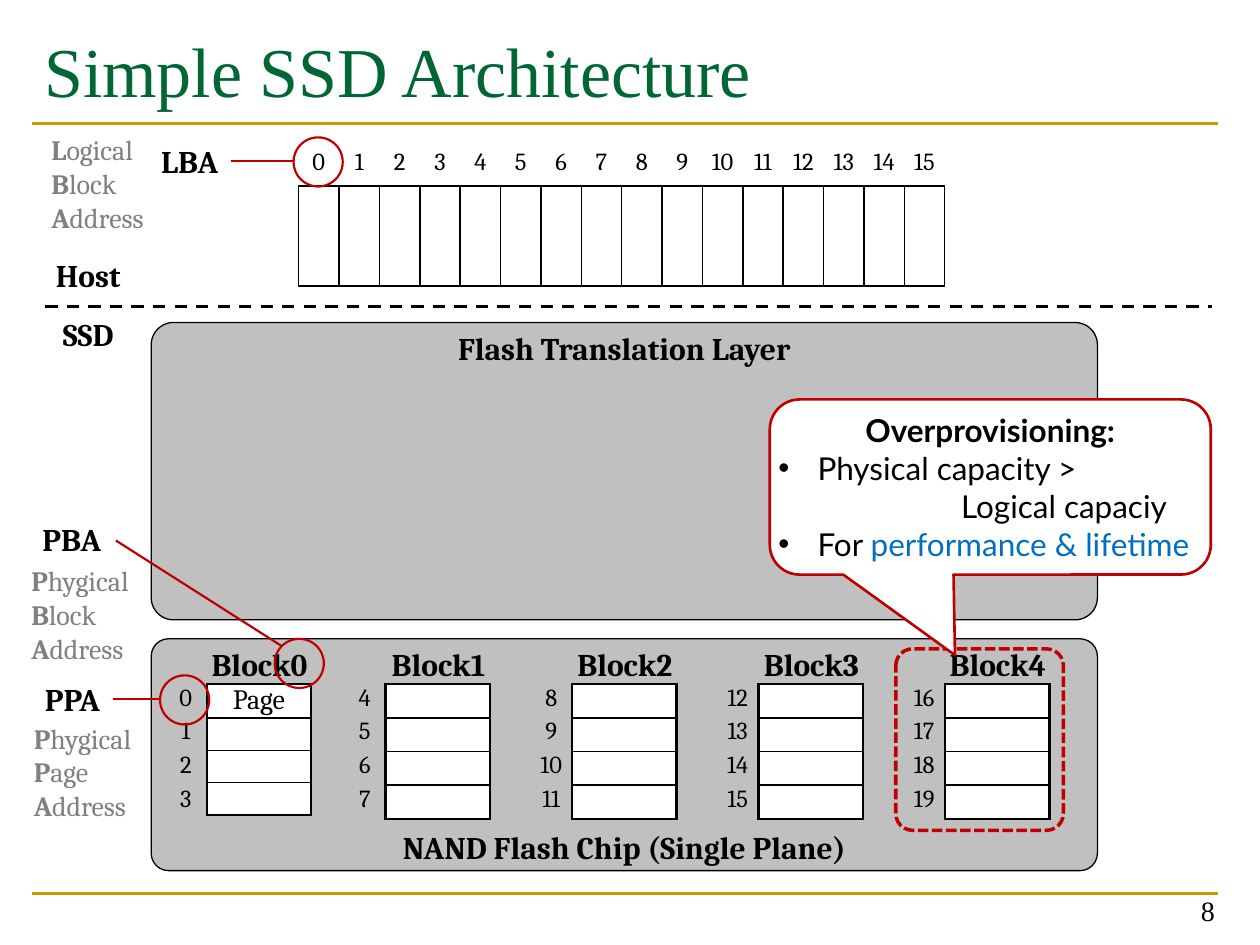
from lxml import etree
from pptx import Presentation
from pptx.dml.color import RGBColor
from pptx.enum.dml import MSO_LINE
from pptx.enum.shapes import MSO_CONNECTOR, MSO_SHAPE
from pptx.enum.text import MSO_ANCHOR, PP_ALIGN
from pptx.oxml.ns import qn
from pptx.util import Inches, Pt

LEFT, CENTER, RIGHT = PP_ALIGN.LEFT, PP_ALIGN.CENTER, PP_ALIGN.RIGHT
TOP, MIDDLE, BOTTOM = MSO_ANCHOR.TOP, MSO_ANCHOR.MIDDLE, MSO_ANCHOR.BOTTOM
ROUNDED, OVAL = MSO_SHAPE.ROUNDED_RECTANGLE, MSO_SHAPE.OVAL
CALLOUT = MSO_SHAPE.ROUNDED_RECTANGULAR_CALLOUT
DASH, SHORT_DASH = MSO_LINE.DASH, MSO_LINE.SQUARE_DOT
STRAIGHT = MSO_CONNECTOR.STRAIGHT
TITLE_ONLY = 5
PLAIN_TABLE = "{2D5ABB26-0587-4C30-8999-92F81FD0307C}"

SERIF, SANS, TITLE_FONT = "Cambria", "Lato", "Times New Roman"
BLACK, WHITE, SILVER, GRAY = "000000", "FFFFFF", "C0C0C0", "808080"
RED, GOLD, GREEN, BLUE = "C00000", "CC9900", "006633", "0070C0"


def color(value):
    return RGBColor.from_string(value)


class SlideBuilder:
    """Places elements on a grid of 100 columns by 75 rows."""

    def __init__(self, deck):
        self.slide = deck.slides.add_slide(deck.slide_layouts[TITLE_ONLY])
        self.shapes = self.slide.shapes
        self.column = deck.slide_width / 100
        self.row = deck.slide_height / 75

    def place(self, left, top, width, height):
        return (round(left * self.column), round(top * self.row),
                round(width * self.column), round(height * self.row))

    def span(self, para, text, size, font=SERIF, ink=BLACK, bold=False):
        run = para.add_run()
        run.text = text
        run.font.size, run.font.name, run.font.bold = Pt(size), font, bold
        run.font.color.rgb = color(ink)

    def frame(self, shape, anchor, inset=True, wrap=True):
        frame = shape.text_frame
        frame.word_wrap, frame.vertical_anchor = wrap, anchor
        if not inset:
            frame.margin_left = frame.margin_right = 0
            frame.margin_top = frame.margin_bottom = 0
        return frame

    def title(self, text, area):
        box = self.shapes.title
        box.left, box.top, box.width, box.height = self.place(*area)
        para = self.frame(box, TOP).paragraphs[0]
        para.alignment = LEFT
        self.span(para, text, 40, TITLE_FONT, GREEN)

    def label(self, text, area, size=18, font=SERIF, bold=True,
              align=CENTER, anchor=MIDDLE):
        box = self.shapes.add_textbox(*self.place(*area))
        para = self.frame(box, anchor, wrap=False).paragraphs[0]
        para.alignment = align
        self.span(para, text, size, font, bold=bold)

    def initials(self, words, area):
        """One word a line, with its first letter in bold."""
        box = self.shapes.add_textbox(*self.place(*area))
        para = self.frame(box, MIDDLE).paragraphs[0]
        for index, word in enumerate(words):
            if index:
                para.add_line_break()
            self.span(para, word[0], 16, ink=GRAY, bold=True)
            self.span(para, word[1:], 16, ink=GRAY)

    def outline(self, kind, area, ink, weight, fill=None, adjust=(), dash=None):
        shape = self.shapes.add_shape(kind, *self.place(*area))
        shape.shadow.inherit = False
        for index, value in enumerate(adjust):
            shape.adjustments[index] = value
        if fill:
            shape.fill.solid()
            shape.fill.fore_color.rgb = color(fill)
        else:
            shape.fill.background()
        shape.line.color.rgb, shape.line.width = color(ink), Pt(weight)
        if dash:
            shape.line.dash_style = dash
        return shape

    def panel(self, text, area, anchor):
        shape = self.outline(ROUNDED, area, BLACK, 0.75, SILVER, [0.075])
        para = self.frame(shape, anchor, inset=False).paragraphs[0]
        para.alignment = CENTER
        self.span(para, text, 18, bold=True)

    def line(self, start, end, ink, weight, dash=None):
        points = self.place(*start, *end)
        link = self.shapes.add_connector(STRAIGHT, *points)
        link.line.color.rgb, link.line.width = color(ink), Pt(weight)
        if dash:
            link.line.dash_style = dash
        etree.SubElement(link._element.spPr, qn("a:effectLst"))

    def border(self, cell, sides):
        for side in "LRTB":
            if side in sides:
                edge = etree.SubElement(cell._tc.get_or_add_tcPr(),
                                        qn("a:ln" + side), w=str(Pt(sides[side])))
                fill = etree.SubElement(edge, qn("a:solidFill"))
                etree.SubElement(fill, qn("a:srgbClr"), val=BLACK)

    def table(self, rows, area, heights, size, borders, fill=WHITE, anchor=TOP):
        """borders holds one dict of side widths for each row."""
        count = len(rows[0])
        holder = self.shapes.add_table(len(rows), count, *self.place(*area))
        table = holder.table
        table.first_row = table.horz_banding = False
        table._tbl.tblPr.find(qn("a:tableStyleId")).text = PLAIN_TABLE
        for column in table.columns:
            column.width = round(area[2] * self.column / count)
        for r, texts in enumerate(rows):
            table.rows[r].height = round(heights[r] * self.row)
            for c, text in enumerate(texts):
                cell = table.cell(r, c)
                cell.margin_left = cell.margin_right = 0
                cell.margin_top = cell.margin_bottom = 0
                cell.vertical_anchor = anchor
                self.border(cell, borders[r])
                if fill:
                    cell.fill.solid()
                    cell.fill.fore_color.rgb = color(fill)
                else:
                    cell.fill.background()
                para = cell.text_frame.paragraphs[0]
                para.alignment = CENTER
                if text:
                    self.span(para, text, size)
                else:
                    para._p.get_or_add_endParaRPr().set("sz", "800")

    def bubble(self, area, adjust, heading, items):
        """Each item is (indent in inches, has bullet, spans of text and ink)."""
        shape = self.outline(CALLOUT, area, RED, 1.5, WHITE, adjust)
        frame = self.frame(shape, MIDDLE, inset=False)
        frame.paragraphs[0].alignment = CENTER
        self.span(frame.paragraphs[0], heading, 18, SANS, bold=True)
        for indent, bullet, spans in items:
            para = frame.add_paragraph()
            para.alignment = LEFT
            props = para._p.get_or_add_pPr()
            props.set("marL", str(Inches(indent)))
            if bullet:
                props.set("indent", str(-Inches(indent)))
                etree.SubElement(props, qn("a:buFont"), typeface="Arial")
                etree.SubElement(props, qn("a:buChar"), char="•")
            for text, ink in spans:
                self.span(para, text, 18, SANS, ink)


def main():
    deck = Presentation()
    deck.slide_width, deck.slide_height = Inches(10), Inches(7.5)
    page = SlideBuilder(deck)

    # Title, rules and page number
    for level in (9.8, 70.9):
        page.line((2.5, level), (96.7, level), GOLD, 1.5)
    page.title("Simple SSD Architecture", (2.5, 1.7, 94.2, 11.7))
    page.label("8", (74.1, 69.1, 23.3, 5), 16, TITLE_FONT, False, RIGHT, BOTTOM)

    # SSD panels
    page.panel("NAND Flash Chip (Single Plane)", (12, 50.7, 75.1, 18.4), BOTTOM)
    page.panel("Flash Translation Layer", (12, 25.6, 75.1, 23.6), TOP)

    # Flash blocks of four pages, with page numbers at their left
    pages = 4
    sides = {"L": 1.5, "R": 1.5, "T": 1, "B": 1}
    page_borders = [{**sides, "T": 1.5}, sides, sides, {**sides, "B": 1.5}]
    for block in range(5):
        left = 15.8 + 14.8 * block if block else 16.4
        height = 10.7 if block else 10.3
        cells = [["" if block else "Page"]] + [[""]] * (pages - 1)
        numbers = [[str(block * pages + n)] for n in range(pages)]
        page.table(cells, (left, 54.3, 8.3, height), [height / pages] * pages,
                   16, page_borders)
        page.table(numbers, (left - 3.25, 54.3, 3.2, 10.7), [10.7 / pages] * pages,
                   14, [{}] * pages, fill=None)
        page.label(f"Block{block}", (left - 0.8, 50.7, 10, 4))

    # Host address space
    slots = 16
    page.table([[str(n) for n in range(slots)], [""] * slots],
               (23.7, 11, 51.3, 11.7), (3.75, 7.95), 14,
               [{"B": 1}, dict.fromkeys("LRTB", 1)], anchor=MIDDLE)
    page.line((3.6, 24.3), (96.2, 24.3), BLACK, 1.75, DASH)
    page.label("Host", (3.3, 19.8, 7.4, 4))
    page.label("SSD", (3.8, 24.5, 6.4, 4))

    # Address terms: name, its box, ring corner, line ends, words, words corner
    terms = [
        ("PPA", (2.5, 53.5, 6.5, 4), (12.7, 53.6), (9, 55.5), (12.7, 55.5),
         ("Phygical", "Page", "Address"), (1.7, 56.7)),
        ("PBA", (2.3, 40.8, 6.8, 4), (21.8, 50.7), (9.2, 42.9), (22.4, 51.3),
         ("Phygical", "Block", "Address"), (1.5, 44.2)),
        ("LBA", (11.7, 10.8, 6.7, 4), (23.3, 10.9), (18.3, 12.8), (23.3, 12.8),
         ("Logical", "Block", "Address"), (3.1, 10)),
    ]
    for name, area, ring, start, end, words, corner in terms:
        page.outline(OVAL, (*ring, 3.9, 3.9), RED, 1.25)
        page.label(name, area)
        page.line(start, end, RED, 1.25)
        page.initials(words, (*corner, 10.6, 9.1))

    # Overprovisioned block and its remark
    page.outline(ROUNDED, (71.1, 51.5, 13.3, 14.4), RED, 2,
                 adjust=[0.1], dash=SHORT_DASH)
    page.bubble((61.1, 31.7, 35, 13.9), (-0.08, 0.96, 0.17), "Overprovisioning:", [
        (0.31, True, [("Physical capacity >", BLACK)]),
        (1.45, False, [("Logical capaciy", BLACK)]),
        (0.31, True, [("For ", BLACK), ("performance & lifetime", BLUE)]),
    ])

    deck.save("out.pptx")


if __name__ == "__main__":
    main()
